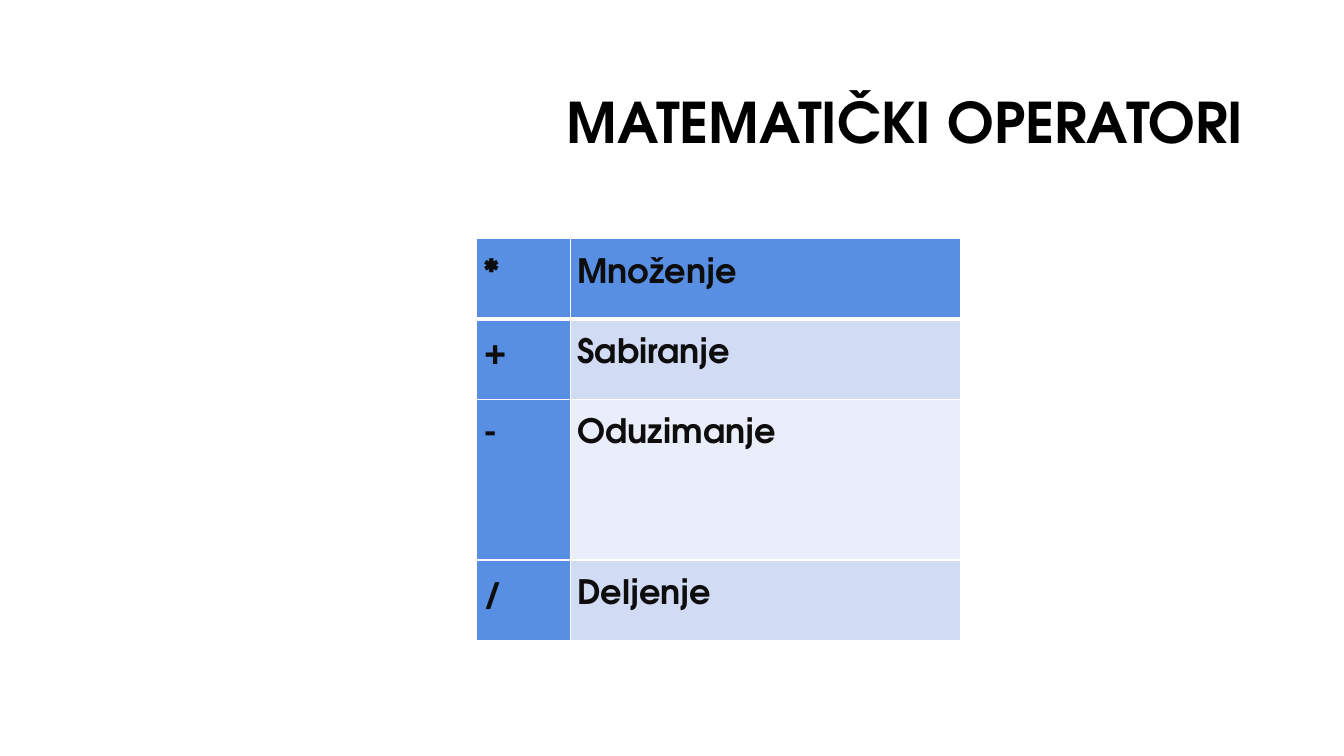
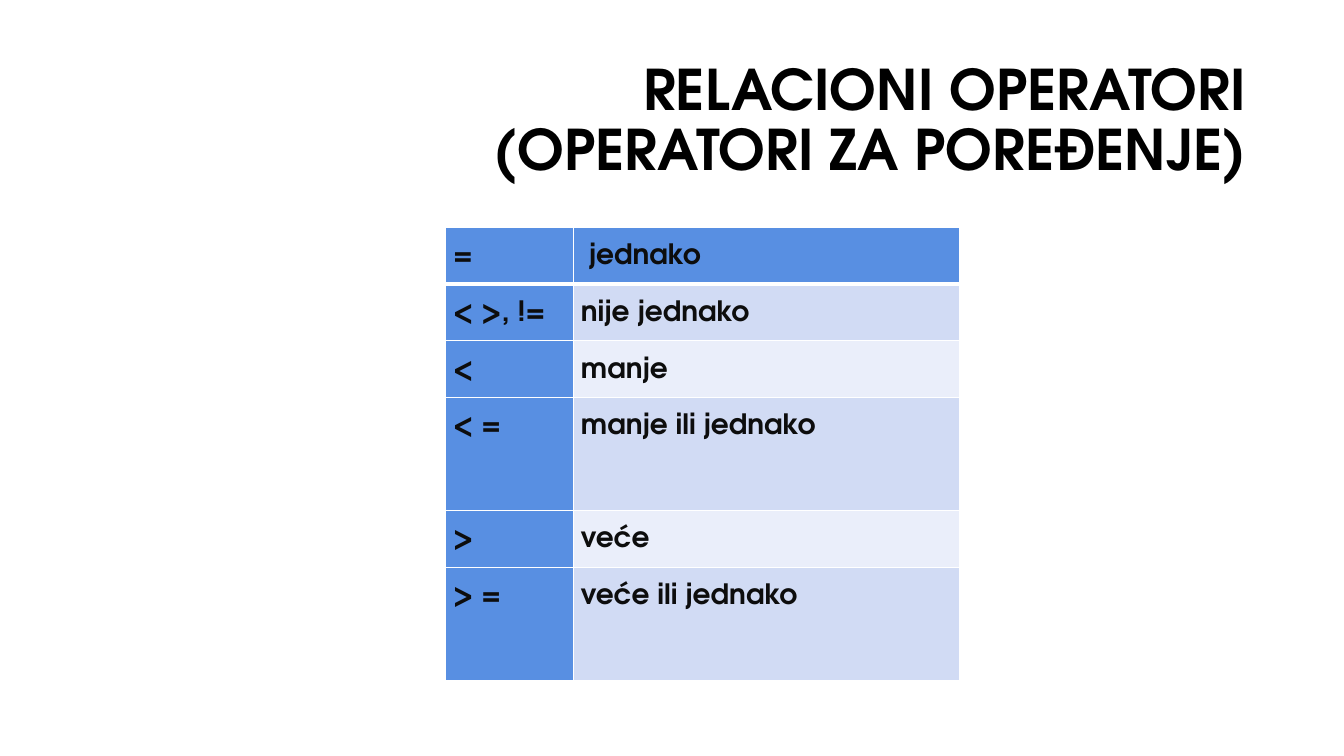
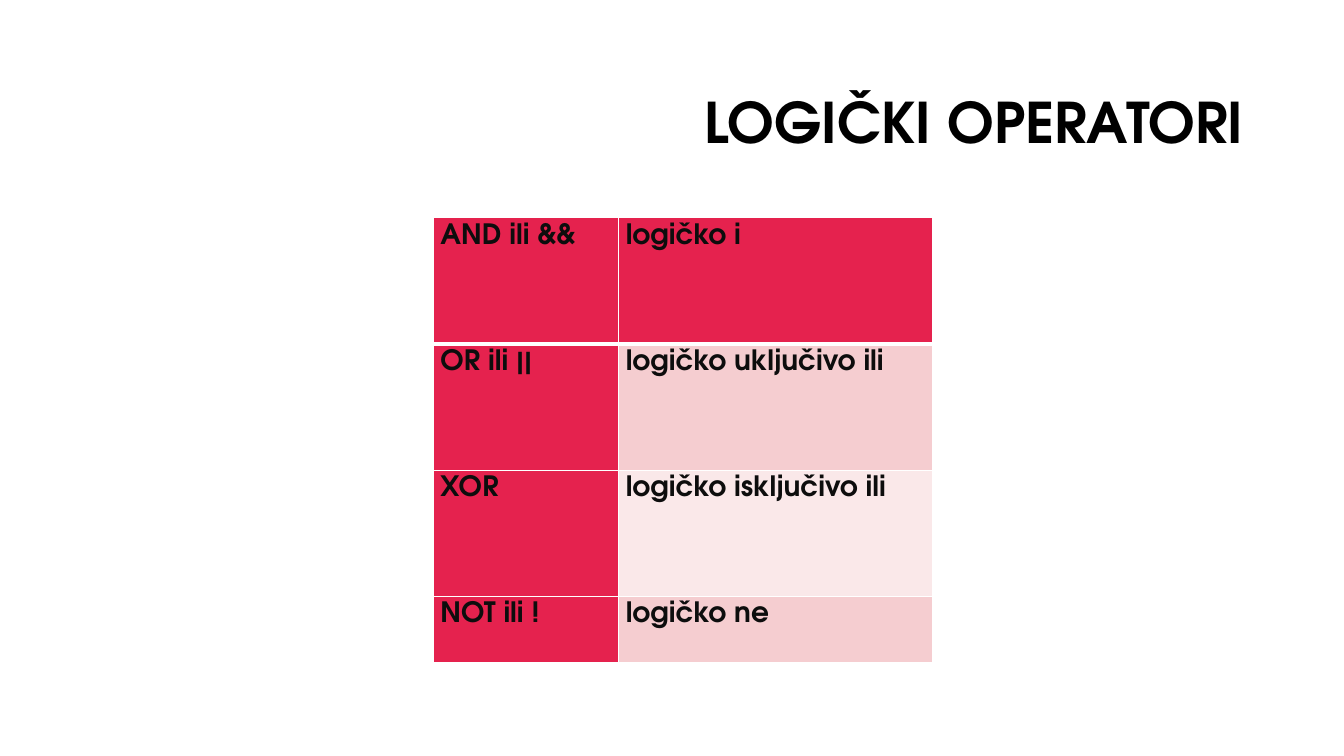
from dataclasses import dataclass

from lxml import etree
from pptx import Presentation
from pptx.dml.color import RGBColor
from pptx.enum import text
from pptx.oxml import ns
from pptx.util import Cm, Pt


@dataclass(frozen=True)
class Palette:
    strong: str
    band: str
    pale: str


@dataclass(frozen=True)
class Theme:
    font: str = "TeX Gyre Adventor"
    title_size: int = 40
    large_size: int = 24
    small_size: int = 20
    title_color: str = "000000"
    text_color: str = "0D0D0D"
    border_color: str = "FFFFFF"
    border: float = 1
    header_border: float = 3
    blue: Palette = Palette("588FE2", "D1DBF4", "EAEEFA")
    red: Palette = Palette("E5224E", "F5CDD0", "FAE8E9")


THEME = Theme()
TITLE_BOX = (8.05, 2.13, 23.93, 3.58)
BLANK_LAYOUT = 6


def format_paragraph(paragraph, size, color, line_spacing):
    paragraph.line_spacing = line_spacing
    for run in paragraph.runs:
        run.font.name = THEME.font
        run.font.size = Pt(size)
        run.font.bold = True
        run.font.color.rgb = RGBColor.from_string(color)


def add_title(slide, title, box=TITLE_BOX, right=0.64, bottom=1.65):
    """Right-aligned title; right and bottom are the inner margins in cm."""
    shape = slide.shapes.add_textbox(*map(Cm, box))
    frame = shape.text_frame
    frame.word_wrap = True
    frame.vertical_anchor = text.MSO_ANCHOR.MIDDLE
    frame.margin_right, frame.margin_bottom = Cm(right), Cm(bottom)
    frame.text = title
    paragraph = frame.paragraphs[0]
    paragraph.alignment = text.PP_ALIGN.RIGHT
    format_paragraph(paragraph, THEME.title_size, THEME.title_color, 0.9)


def add_borders(cell, row):
    """Thin lines all round, with a thick one under the header row."""
    widths = {"lnL": THEME.border, "lnR": THEME.border,
              "lnT": THEME.header_border if row == 1 else THEME.border,
              "lnB": THEME.header_border if row == 0 else THEME.border}
    properties = cell._tc.get_or_add_tcPr()
    for tag, width in widths.items():
        line = etree.SubElement(properties, ns.qn(f"a:{tag}"), w=str(Pt(width)))
        fill = etree.SubElement(line, ns.qn("a:solidFill"))
        etree.SubElement(fill, ns.qn("a:srgbClr"), val=THEME.border_color)


def cell_color(palette, row, column):
    if row == 0 or column == 0:
        return palette.strong
    return palette.band if row % 2 else palette.pale


def add_operator_table(slide, position, widths, heights, rows, palette, size, line_spacing):
    shape = slide.shapes.add_table(len(rows), len(widths), *map(Cm, position),
                                   Cm(sum(widths)), Cm(sum(heights)))
    table = shape.table
    for column, width in zip(table.columns, widths):
        column.width = Cm(width)
    for row_index, (height, labels) in enumerate(zip(heights, rows)):
        table.rows[row_index].height = Cm(height)
        for column_index, label in enumerate(labels):
            cell = table.cell(row_index, column_index)
            cell.margin_left, cell.margin_right = Cm(0.18), Cm(0.1)
            cell.margin_top, cell.margin_bottom = Cm(0.1), 0
            add_borders(cell, row_index)
            cell.fill.solid()
            color = cell_color(palette, row_index, column_index)
            cell.fill.fore_color.rgb = RGBColor.from_string(color)
            cell.text_frame.text = label
            format_paragraph(cell.text_frame.paragraphs[0], size,
                             THEME.text_color, line_spacing)
    return table


def add_arithmetic_slide(slide):
    add_title(slide, "MATEMATIČKI OPERATORI")
    rows = [("*", "Množenje"), ("+", "Sabiranje"), ("-", "Oduzimanje"), ("/", "Deljenje")]
    add_operator_table(slide, (12.01, 6.02), (2.36, 9.83), (2.02, 2.02, 4.05, 2.02),
                       rows, THEME.blue, THEME.large_size, 1.5)


def add_relational_slide(slide):
    add_title(slide, "RELACIONI OPERATORI (OPERATORI ZA POREĐENJE)",
              box=(11.99, 1.3, 19.66, 3.58), right=0.25, bottom=0.13)
    rows = [("=", "jednako"), ("< >, !=", "nije jednako"), ("<", "manje"),
            ("< =", "manje ili jednako"), (">", "veće"), ("> =", "veće ili jednako")]
    single, double = 1.43, 2.85
    table = add_operator_table(slide, (11.23, 5.72), (3.23, 9.73),
                               (single, single, single, double, single, double),
                               rows, THEME.blue, THEME.small_size, 1.5)
    table.cell(0, 1).margin_left = Cm(0.38)


def add_logical_slide(slide):
    add_title(slide, "LOGIČKI OPERATORI")
    rows = [("AND ili &&", "logičko i"), ("OR ili ||", "logičko uključivo ili"),
            ("XOR", "logičko isključivo ili"), ("NOT ili !", "logičko ne")]
    add_operator_table(slide, (10.92, 5.49), (4.67, 7.9), (3.18, 3.18, 3.18, 1.67),
                       rows, THEME.red, THEME.small_size, 1.06)


def main():
    presentation = Presentation()
    presentation.slide_width, presentation.slide_height = Cm(33.87), Cm(19.05)
    for fill_slide in (add_arithmetic_slide, add_relational_slide, add_logical_slide):
        fill_slide(presentation.slides.add_slide(presentation.slide_layouts[BLANK_LAYOUT]))
    presentation.save("out.pptx")


if __name__ == "__main__":
    main()
